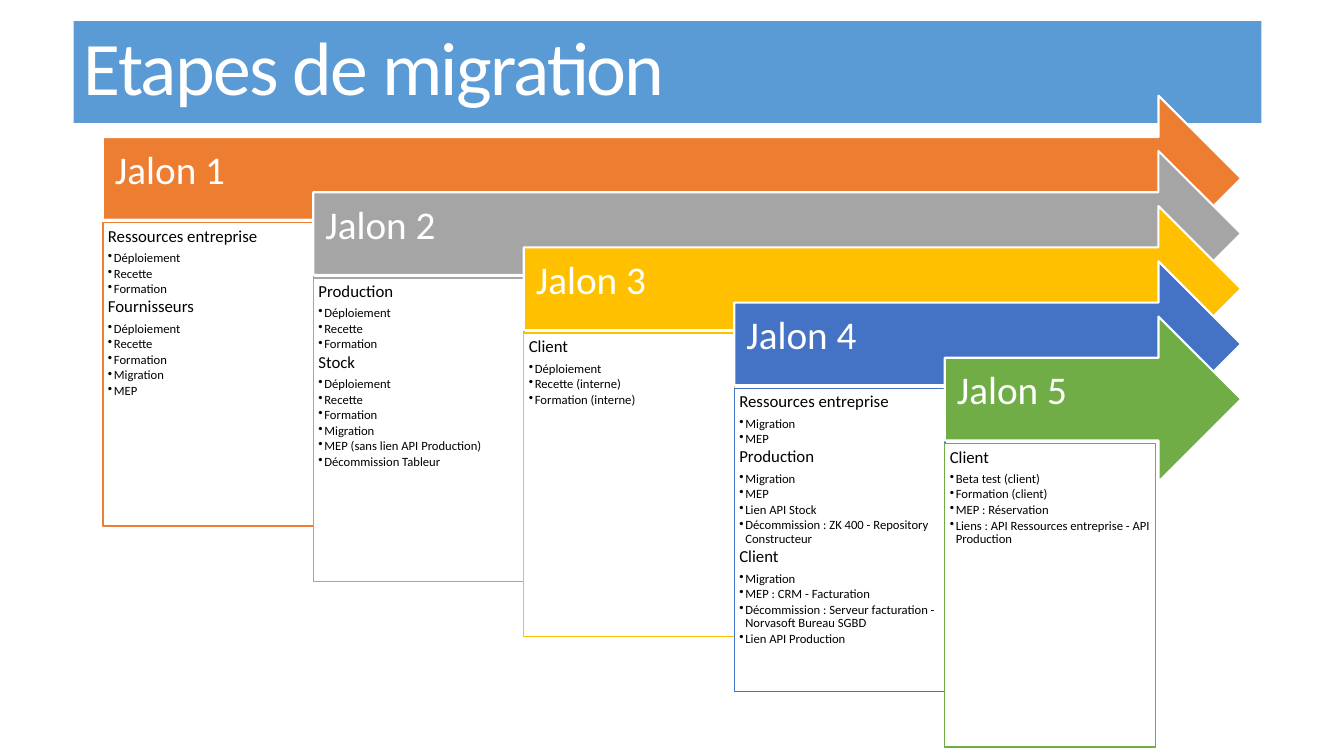
from dataclasses import dataclass

from lxml import etree
from pptx import Presentation
from pptx.dml.color import RGBColor
from pptx.enum.shapes import MSO_SHAPE
from pptx.enum.text import MSO_ANCHOR, MSO_AUTO_SIZE, PP_ALIGN
from pptx.oxml.ns import qn
from pptx.util import Inches, Pt

ARROW, RECTANGLE = MSO_SHAPE.RIGHT_ARROW, MSO_SHAPE.RECTANGLE
TOP, MIDDLE = MSO_ANCHOR.TOP, MSO_ANCHOR.MIDDLE
LEFT, NO_AUTOFIT = PP_ALIGN.LEFT, MSO_AUTO_SIZE.NONE


@dataclass(frozen=True)
class Theme:
    font: str = "Calibri"
    white: str = "FFFFFF"
    black: str = "000000"
    banner: str = "5B9BD5"
    milestones: tuple = ("ED7D31", "A5A5A5", "FFC000", "4472C4", "70AD47")
    title_size: float = 54
    milestone_size: float = 28
    heading_size: float = 12
    task_size: float = 9


THEME = Theme()

# Each milestone lists its work areas, each with its tasks
MILESTONES = [
    {
        "Ressources entreprise": ["Déploiement", "Recette", "Formation"],
        "Fournisseurs": ["Déploiement", "Recette", "Formation", "Migration", "MEP"],
    },
    {
        "Production": ["Déploiement", "Recette", "Formation"],
        "Stock": ["Déploiement", "Recette", "Formation", "Migration",
                  "MEP (sans lien API Production)", "Décommission Tableur"],
    },
    {"Client": ["Déploiement", "Recette (interne)", "Formation (interne)"]},
    {
        "Ressources entreprise": ["Migration", "MEP"],
        "Production": ["Migration", "MEP", "Lien API Stock",
                       "Décommission : ZK 400 - Repository Constructeur"],
        "Client": ["Migration", "MEP : CRM - Facturation",
                   "Décommission : Serveur facturation - Norvasoft Bureau SGBD",
                   "Lien API Production"],
    },
    {"Client": ["Beta test (client)", "Formation (client)", "MEP : Réservation",
                "Liens : API Ressources entreprise - API Production"]},
]

FIRST_LEFT, FIRST_TOP = 1.02, 0.95
STEP_X, STEP_Y = 8.35 / 4, 2.19 / 4
ARROW_RIGHT, ARROW_HEIGHT = 12.31, 1.64
BOX_DROP, BOX_WIDTH, BOX_HEIGHT = 1.26, 2.09, 3.01


def add_panel(kind, box, fill, line, line_width, anchor, insets):
    """Add a filled, outlined shape and return its empty text frame."""
    panel = slide.shapes.add_shape(kind, *map(Inches, box))
    panel.shadow.inherit = False
    panel.fill.solid()
    panel.fill.fore_color.rgb = RGBColor.from_string(fill)
    panel.line.color.rgb = RGBColor.from_string(line)
    panel.line.width = Pt(line_width)
    frame = panel.text_frame
    frame.word_wrap = True
    frame.vertical_anchor = anchor
    for side, inset in zip(("left", "top", "right", "bottom"), insets):
        setattr(frame, f"margin_{side}", Inches(inset))
    return frame


def write(paragraph, text, size, color, line_spacing=0.9, space_after=0):
    paragraph.alignment = LEFT
    paragraph.line_spacing = line_spacing
    paragraph.space_after = Pt(space_after)
    run = paragraph.add_run()
    run.text = text
    run.font.name = THEME.font
    run.font.size = Pt(size)
    run.font.color.rgb = RGBColor.from_string(color)
    return run


presentation = Presentation()
presentation.slide_width = Inches(13.33)
presentation.slide_height = Inches(7.5)
slide = presentation.slides.add_slide(presentation.slide_layouts[5])

title = slide.shapes.title
banner = {"left": 0.73, "top": 0.21, "width": 11.78, "height": 1.01}
for side, length in banner.items():
    setattr(title, side, Inches(length))
title.fill.solid()
title.fill.fore_color.rgb = RGBColor.from_string(THEME.banner)
title.text_frame.auto_size = NO_AUTOFIT
title.text_frame.vertical_anchor = MIDDLE
title_run = write(title.text_frame.paragraphs[0], "Etapes de migration",
                  THEME.title_size, THEME.white, line_spacing=0.85)
title_run.font._element.set("spc", "-120")

for index, (areas, color) in enumerate(zip(MILESTONES, THEME.milestones)):
    left = FIRST_LEFT + index * STEP_X
    top = FIRST_TOP + index * STEP_Y

    milestone = add_panel(ARROW, (left, top, ARROW_RIGHT - left, ARROW_HEIGHT),
                          color, THEME.white, 1.5, MIDDLE, (0.12, 0.12, 0.28, 0.26))
    write(milestone.paragraphs[0], f"Jalon {index + 1}",
          THEME.milestone_size, THEME.white)

    details = add_panel(RECTANGLE, (left, top + BOX_DROP, BOX_WIDTH, BOX_HEIGHT),
                        THEME.white, color, 1, TOP, (0.05,) * 4)
    for area_index, (area, tasks) in enumerate(areas.items()):
        heading = details.add_paragraph() if area_index else details.paragraphs[0]
        write(heading, area, THEME.heading_size, THEME.black, space_after=4.2)
        for task in tasks:
            item = details.add_paragraph()
            item.level = 1
            write(item, task, THEME.task_size, THEME.black, space_after=1.35)
            properties = item._p.get_or_add_pPr()
            properties.set("marL", str(Inches(0.06)))
            properties.set("indent", str(-Inches(0.06)))
            etree.SubElement(properties, qn("a:buChar")).set("char", "•")

presentation.save("out.pptx")
